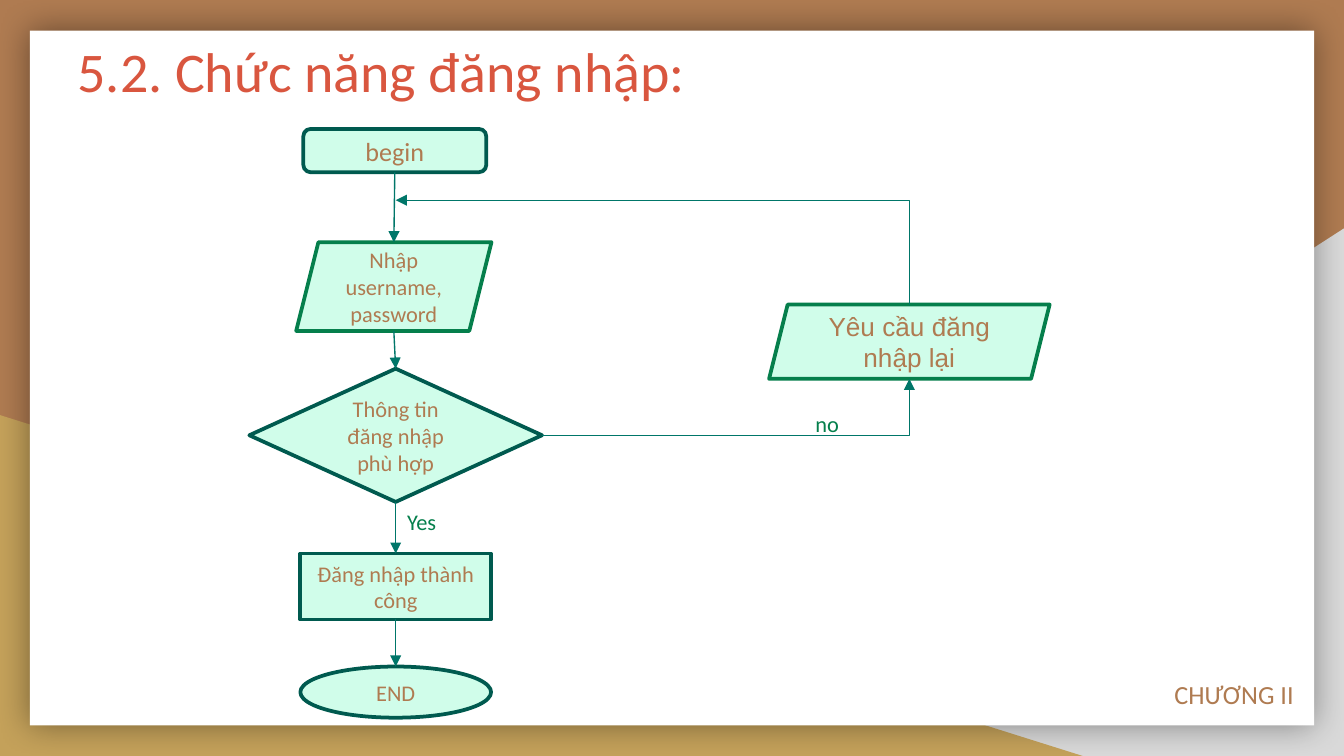
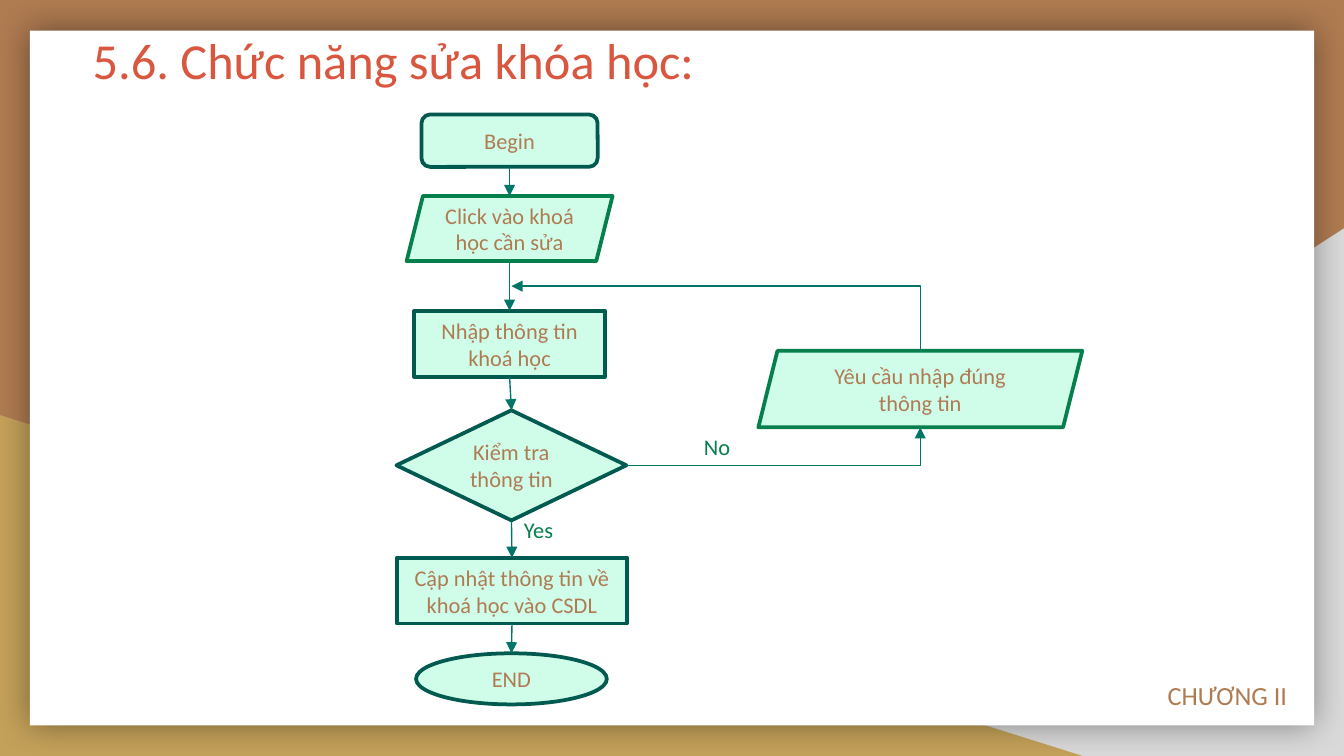
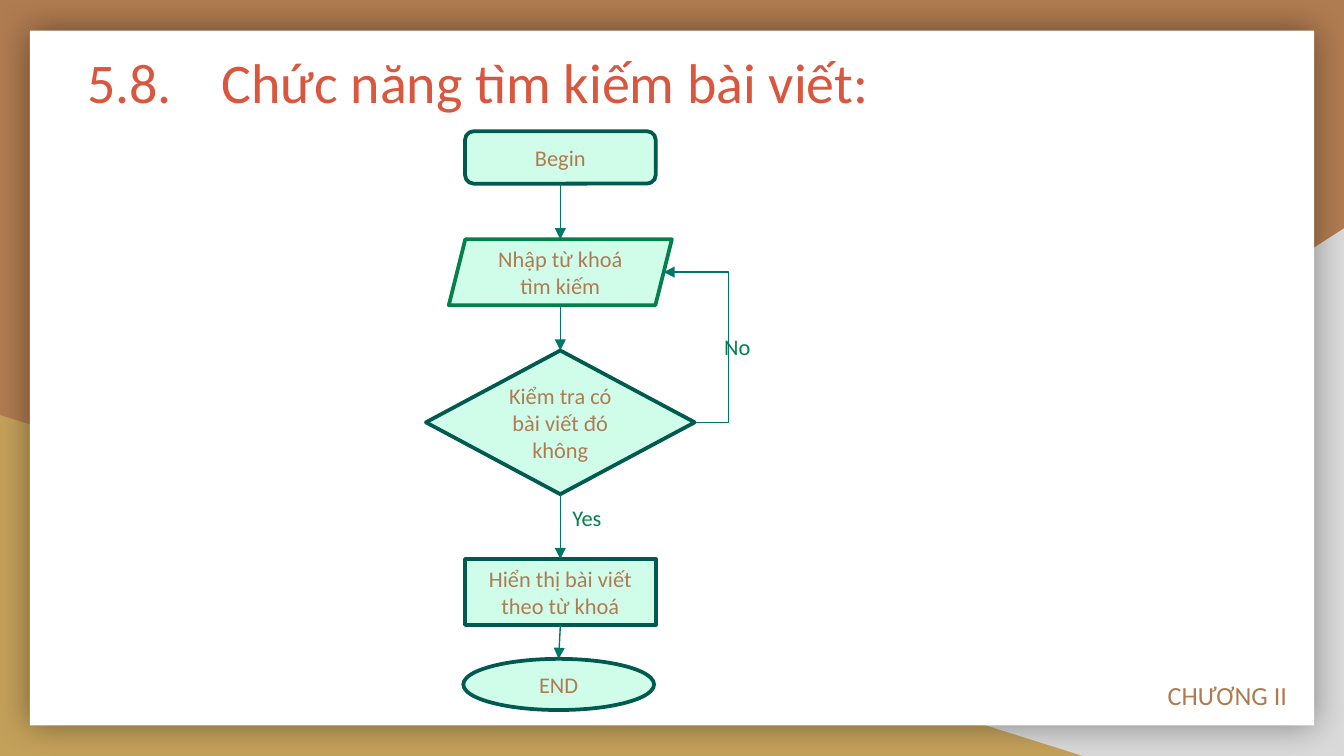
from dataclasses import dataclass
from itertools import pairwise
from typing import Optional

import lxml.etree
import pptx
import pptx.dml.color
import pptx.enum.shapes
import pptx.enum.text
import pptx.oxml.ns
import pptx.shapes.autoshape
import pptx.shapes.connector
import pptx.slide
import pptx.util

Pt = pptx.util.Pt
qn = pptx.oxml.ns.qn
SHAPE = pptx.enum.shapes.MSO_SHAPE
CONNECTOR = pptx.enum.shapes.MSO_CONNECTOR
ALIGN = pptx.enum.text.PP_ALIGN
ANCHOR = pptx.enum.text.MSO_ANCHOR

COLORS = {
    "brown": "AF7B51",
    "gold": "C4A15A",
    "grey": "D9D9D9",
    "white": "FFFFFF",
    "black": "000000",
    "title": "D9563F",
    "mint": "D0FDEA",
    "dark_teal": "005A4F",
    "teal": "007669",
    "green": "057F4C",
}
FONT = "Calibri"
SLIDE_W, SLIDE_H = 720, 405
BLANK_LAYOUT = 6
SLANT = 0.25  # parallelogram slant as a share of its height


@dataclass
class Node:
    kind: SHAPE
    cx: float
    top: float
    width: float
    height: float
    text: str
    size: float = 12
    font: str = FONT

    @property
    def left(self) -> float:
        return self.cx - self.width / 2

    @property
    def right(self) -> float:
        return self.cx + self.width / 2

    @property
    def bottom(self) -> float:
        return self.top + self.height

    @property
    def cy(self) -> float:
        return self.top + self.height / 2


@dataclass
class Label:
    text: str
    left: float
    top: float
    width: float = 72
    height: float = 21.6
    size: float = 12
    color: str = "green"
    inset: float = 3.6


@dataclass
class Flow:
    """A slide: the main column of steps, and the way back from its decision."""
    title: Label
    footer: Label
    steps: list[Node]
    labels: list[Label]
    retry: Optional[Node] = None
    rejoin_y: float = 0
    detour: float = 0


def rgb(name: str) -> pptx.dml.color.RGBColor:
    return pptx.dml.color.RGBColor.from_string(COLORS[name])


def add_text(tf, text: str, size: float, color: str, font: str = FONT):
    p = tf.paragraphs[0]
    r = p.add_run()
    r.text = text
    r.font.size = Pt(size)
    r.font.name = font
    r.font.color.rgb = rgb(color)
    return p


def add_filled(slide: pptx.slide.Slide, kind: SHAPE, left: float, top: float,
               width: float, height: float, fill: str) -> pptx.shapes.autoshape.Shape:
    sp = slide.shapes.add_shape(kind, Pt(left), Pt(top), Pt(width), Pt(height))
    sp.shadow.inherit = False
    sp.fill.solid()
    sp.fill.fore_color.rgb = rgb(fill)
    sp.line.fill.background()
    return sp


def add_glow(sp: pptx.shapes.autoshape.Shape) -> None:
    """Put an even soft shadow around a shape."""
    effects = sp.element.spPr.find(qn("a:effectLst"))
    shadow = lxml.etree.SubElement(effects, qn("a:outerShdw"), blurRad=str(Pt(18)),
                                   dist="0", algn="ctr", rotWithShape="0")
    color = lxml.etree.SubElement(shadow, qn("a:srgbClr"), val=COLORS["black"])
    lxml.etree.SubElement(color, qn("a:alpha"), val="40000")


def dress_layout(layout: pptx.slide.SlideLayout, slide: pptx.slide.Slide) -> None:
    """Draw the backdrop on a slide, then move it to the layout all slides share."""
    layout.background.fill.solid()
    layout.background.fill.fore_color.rgb = rgb("brown")
    right = add_filled(slide, SHAPE.RIGHT_TRIANGLE, 282, 122.4, 438, 282.6, "grey")
    right.element.spPr.find(qn("a:xfrm")).set("flipH", "1")
    left = add_filled(slide, SHAPE.RIGHT_TRIANGLE, 0, 222.4, 580, 182.6, "gold")
    sheet = add_filled(slide, SHAPE.RECTANGLE, 16, 16.4, 688, 372.2, "white")
    add_glow(sheet)
    for sp in (right, left, sheet):
        layout.shapes.element.append(sp.element)


def add_label(slide: pptx.slide.Slide, label: Label) -> None:
    sp = slide.shapes.add_textbox(Pt(label.left), Pt(label.top),
                                  Pt(label.width), Pt(label.height))
    tf = sp.text_frame
    tf.word_wrap = True
    tf.margin_top = tf.margin_bottom = Pt(label.inset)
    add_text(tf, label.text, label.size, label.color)


def add_node(slide: pptx.slide.Slide, node: Node) -> None:
    sp = add_filled(slide, node.kind, node.left, node.top, node.width, node.height, "mint")
    sp.line.color.rgb = rgb("green" if node.kind == SHAPE.PARALLELOGRAM else "dark_teal")
    sp.line.width = Pt(2)
    tf = sp.text_frame
    tf.word_wrap = True
    tf.vertical_anchor = ANCHOR.MIDDLE
    p = add_text(tf, node.text, node.size, "brown", node.font)
    p.alignment = ALIGN.CENTER


def add_arrow(slide: pptx.slide.Slide, start: tuple[float, float], end: tuple[float, float],
              kind: CONNECTOR = CONNECTOR.STRAIGHT,
              head: str = "tailEnd") -> pptx.shapes.connector.Connector:
    cxn = slide.shapes.add_connector(kind, *(Pt(v) for v in (*start, *end)))
    cxn.line.color.rgb = rgb("teal")
    cxn.line.width = Pt(0.75)
    spPr = cxn.element.spPr
    lxml.etree.SubElement(spPr.find(qn("a:ln")), qn(f"a:{head}"), type="triangle")
    lxml.etree.SubElement(spPr, qn("a:effectLst"))
    return cxn


def add_corner(slide: pptx.slide.Slide, start: tuple[float, float],
               end: tuple[float, float], head: str) -> None:
    """Draw an arrow that runs level from start, then upright to end."""
    cxn = add_arrow(slide, start, end, CONNECTOR.ELBOW, head)
    cxn.element.spPr.find(qn("a:prstGeom")).set("prst", "bentConnector2")


def add_detour(slide: pptx.slide.Slide, decision: Node, target: Node, detour: float) -> None:
    """Lead from the decision out to the right and back up to the target's side."""
    end_x = target.right - target.height * SLANT / 2
    cxn = add_arrow(slide, (decision.right, decision.cy), (end_x, target.cy), CONNECTOR.ELBOW)
    geom = cxn.element.spPr.find(qn("a:prstGeom"))
    adjust = round(-100000 * detour / (decision.right - end_x))
    lxml.etree.SubElement(geom.find(qn("a:avLst")), qn("a:gd"),
                          name="adj1", fmla=f"val {adjust}")


def draw_flow(slide: pptx.slide.Slide, flow: Flow) -> None:
    add_label(slide, flow.title)
    for node in flow.steps:
        add_node(slide, node)
    for upper, lower in pairwise(flow.steps):
        add_arrow(slide, (upper.cx, upper.bottom), (lower.cx, lower.top))

    decision = next(n for n in flow.steps if n.kind == SHAPE.DIAMOND)
    if flow.retry:
        retry = flow.retry
        add_node(slide, retry)
        add_corner(slide, (decision.right, decision.cy), (retry.cx, retry.bottom), "tailEnd")
        add_corner(slide, (decision.cx, flow.rejoin_y), (retry.cx, retry.top), "headEnd")
    else:
        target = next(n for n in flow.steps if n.kind == SHAPE.PARALLELOGRAM)
        add_detour(slide, decision, target, flow.detour)
    for label in (*flow.labels, flow.footer):
        add_label(slide, label)


def title(text: str, left: float, top: float, height: float, size: float = 30) -> Label:
    return Label(text, left, top, 591, height, size, "title", 7.2)


def footer(left: float = 618.5, top: float = 360.7, width: float = 93.6) -> Label:
    return Label("CHƯƠNG II", left, top, width, 24.5, 14, "brown")


def begin(cx: float, top: float, width: float, height: float = 28.1,
          text: str = "Begin", size: float = 12) -> Node:
    return Node(SHAPE.ROUNDED_RECTANGLE, cx, top, width, height, text, size)


def process(cx: float, top: float, text: str, width: float = 102.2) -> Node:
    return Node(SHAPE.RECTANGLE, cx, top, width, 35.3, text)


def finish(cx: float, top: float) -> Node:
    return Node(SHAPE.OVAL, cx, top, 102.2, 27.4, "END")


FLOWS = [
    Flow(
        title("5.2. Chức năng đăng nhập:", 34.5, 12.2, 75),
        footer(622, 360, 98),
        [
            begin(211.5, 69.1, 98, 23.2, "begin", 14),
            Node(SHAPE.PARALLELOGRAM, 211, 129.8, 104.6, 47.5, "Nhập username, password"),
            Node(SHAPE.DIAMOND, 212, 197.5, 156.8, 71.4, "Thông tin đăng nhập phù hợp"),
            process(212, 296.6, "Đăng nhập thành công"),
            finish(212, 357.1),
        ],
        [Label("no", 429.8, 216), Label("Yes", 211, 268.6)],
        Node(SHAPE.PARALLELOGRAM, 487.2, 163.2, 150.3, 39.8, "Yêu cầu đăng nhập lại",
             14, "Arial"),
        rejoin_y=107.3,
    ),
    Flow(
        title("5.6. Chức năng sửa khóa học:", 42.5, 8.6, 44.6, 27),
        footer(),
        [
            begin(273, 61.3, 94.4),
            Node(SHAPE.PARALLELOGRAM, 273, 105, 110.3, 34.9, "Click vào khoá học cần sửa"),
            process(273, 166.5, "Nhập thông tin khoá học"),
            Node(SHAPE.DIAMOND, 274, 219.8, 123.2, 59, "Kiểm tra thông tin"),
            process(274.3, 298.8, "Cập nhật thông tin về khoá học vào CSDL", 123.2),
            finish(274, 350),
        ],
        [Label("No", 370, 228.5), Label("Yes", 273.6, 272.9)],
        Node(SHAPE.PARALLELOGRAM, 493, 188, 173.5, 41, "Yêu cầu nhập đúng thông tin"),
        rejoin_y=153.3,
    ),
    Flow(
        title("5.8.\tChức năng tìm kiếm bài viết:", 39.6, 18, 41.8),
        footer(),
        [
            begin(300.2, 70.3, 102.2),
            Node(SHAPE.PARALLELOGRAM, 300.2, 128.2, 119.5, 35.3, "Nhập từ khoá tìm kiếm"),
            Node(SHAPE.DIAMOND, 300.2, 187.8, 144, 77, "Kiểm tra có bài viết đó không"),
            process(300.2, 299.5, "Hiển thị bài viết theo từ khoá"),
            finish(299.3, 353),
        ],
        [Label("No", 380.9, 175), Label("Yes", 299.5, 266.6)],
        detour=18,
    ),
]


def main() -> None:
    prs = pptx.Presentation()
    prs.slide_width, prs.slide_height = Pt(SLIDE_W), Pt(SLIDE_H)
    layout = prs.slide_layouts[BLANK_LAYOUT]
    slides = [prs.slides.add_slide(layout) for _ in FLOWS]
    dress_layout(layout, slides[0])
    for slide, flow in zip(slides, FLOWS):
        draw_flow(slide, flow)
    prs.save("out.pptx")


if __name__ == "__main__":
    main()
